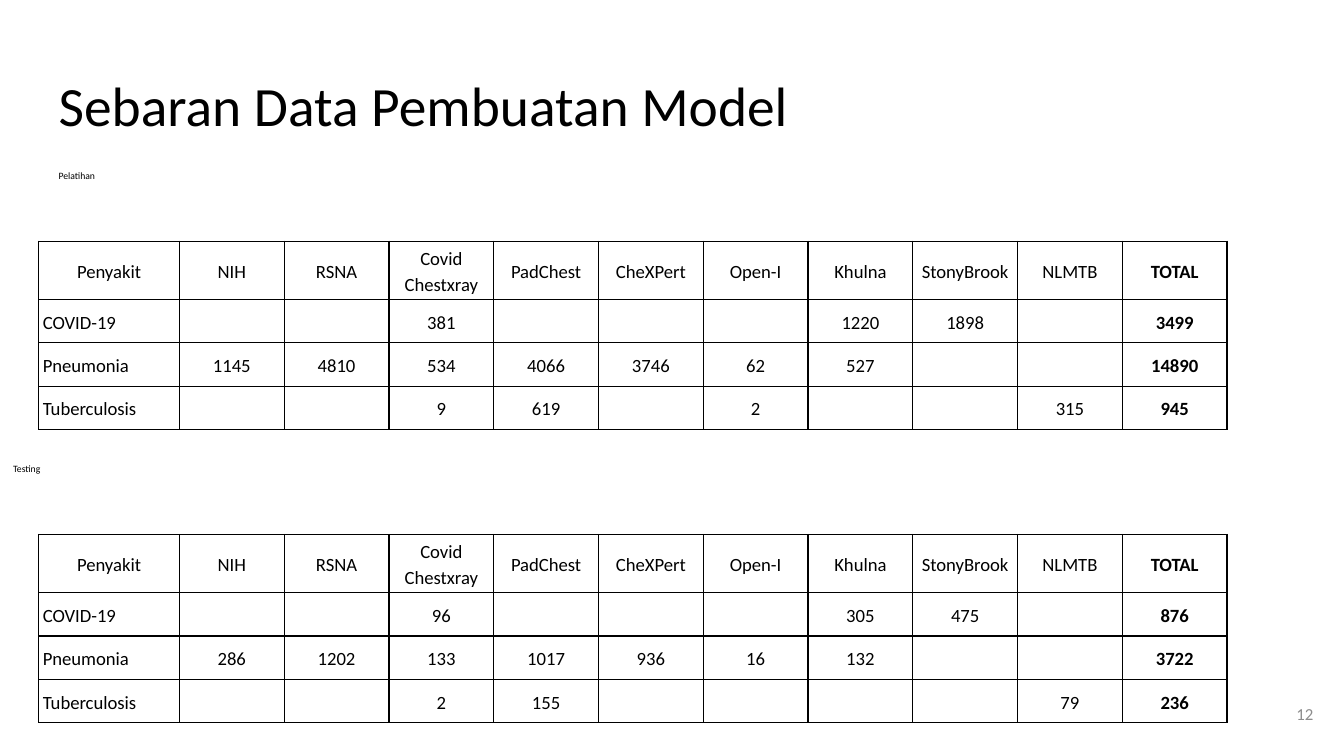
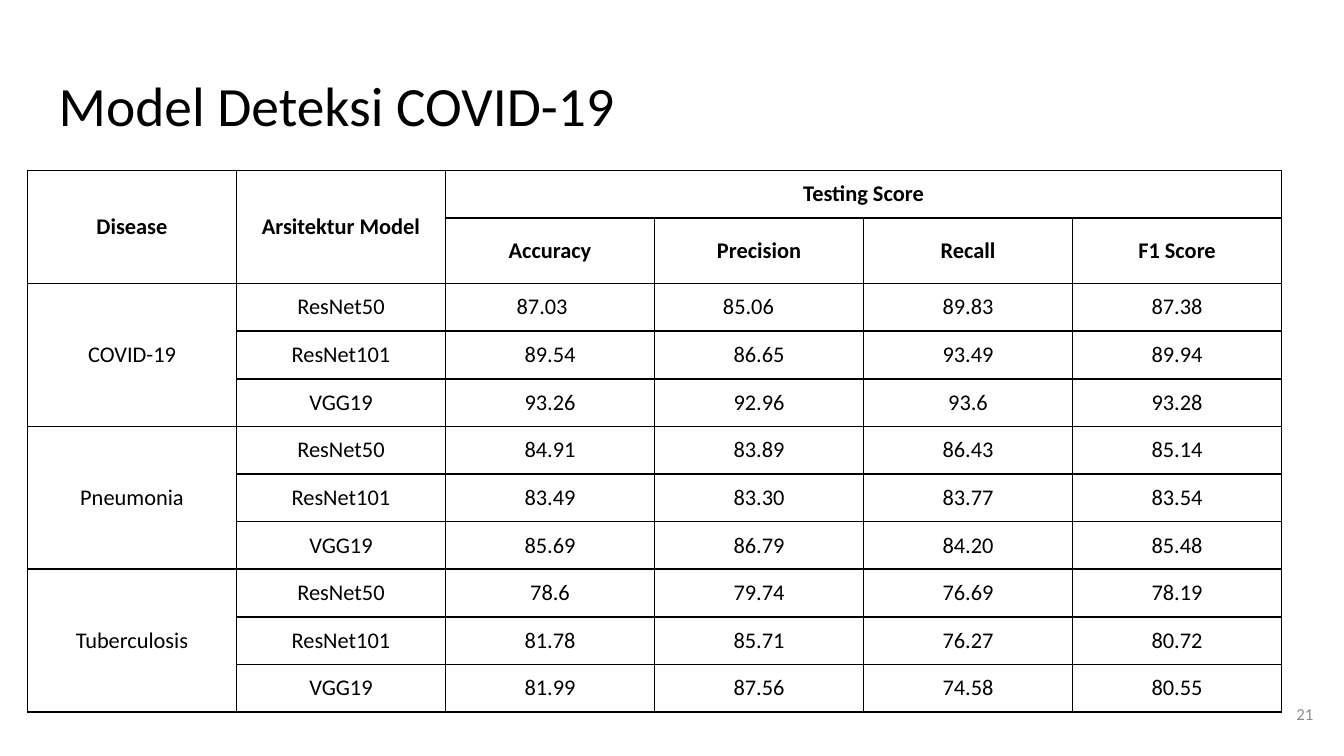
"""Builds two slides of data distribution and detection scores."""
import pptx
import pptx.dml.color
import pptx.enum.text
import pptx.oxml
import pptx.oxml.ns
import pptx.util

Cm = pptx.util.Cm
Pt = pptx.util.Pt
ALIGN = pptx.enum.text.PP_ALIGN
ANCHOR = pptx.enum.text.MSO_ANCHOR

FONT = "Calibri"
COLORS = {"text": "000000", "number": "8C8C8C", "paper": "FFFFFF"}
SIDES = ("left", "right", "top", "bottom")

TITLE = {
    "font": {"size": Pt(29.7)},
    "paragraph": {"line_spacing": 0.9},
}
CAPTION = {
    "font": {"size": Pt(5.2)},
    "paragraph": {"line_spacing": 0.7, "space_after": Pt(12)},
}
NUMBER = {
    "font": {"size": Pt(9)},
    "paragraph": {"alignment": ALIGN.RIGHT},
    "frame": {"vertical_anchor": ANCHOR.MIDDLE},
    "color": "number",
}

DATASETS = ["Penyakit", "NIH", "RSNA", "Covid Chestxray", "PadChest", "CheXPert",
            "Open-I", "Khulna", "StonyBrook", "NLMTB", "TOTAL"]
TRAINING = [
    ["COVID-19", "", "", "381", "", "", "", "1220", "1898", "", "3499"],
    ["Pneumonia", "1145", "4810", "534", "4066", "3746", "62", "527", "", "", "14890"],
    ["Tuberculosis", "", "", "9", "619", "", "2", "", "", "315", "945"],
]
TESTING = [
    ["COVID-19", "", "", "96", "", "", "", "305", "475", "", "876"],
    ["Pneumonia", "286", "1202", "133", "1017", "936", "16", "132", "", "", "3722"],
    ["Tuberculosis", "", "", "2", "155", "", "", "", "", "79", "236"],
]

METRICS = ["Accuracy", "Precision", "Recall", "F1 Score"]
MODELS = ["ResNet50", "ResNet101", "VGG19"]
SCORES = {
    "COVID-19": [["87.03", "85.06", "89.83", "87.38"],
                 ["89.54", "86.65", "93.49", "89.94"],
                 ["93.26", "92.96", "93.6", "93.28"]],
    "Pneumonia": [["84.91", "83.89", "86.43", "85.14"],
                  ["83.49", "83.30", "83.77", "83.54"],
                  ["85.69", "86.79", "84.20", "85.48"]],
    "Tuberculosis": [["78.6", "79.74", "76.69", "78.19"],
                     ["81.78", "85.71", "76.27", "80.72"],
                     ["81.99", "87.56", "74.58", "80.55"]],
}


def rgb(name):
    """Return the named colour."""
    return pptx.dml.color.RGBColor.from_string(COLORS[name])


def apply_values(target, values):
    """Set each attribute in values on target."""
    for name, value in values.items():
        setattr(target, name, value)


def write_text(paragraph, text, style):
    """Write one styled run, or size the empty paragraph."""
    apply_values(paragraph, style.get("paragraph", {}))
    if not text:
        end = pptx.oxml.parse_xml(
            f'<a:endParaRPr {pptx.oxml.ns.nsdecls("a")} '
            f'sz="{int(style["font"]["size"].pt * 100)}"/>')
        paragraph._p.append(end)
        return
    run = paragraph.add_run()
    run.text = text
    apply_values(run.font, {"name": FONT, **style["font"]})
    run.font.color.rgb = rgb(style.get("color", "text"))


def add_text(slide, box, text, style):
    """Add a wrapped text box; box holds left, top, width and height in cm."""
    frame = slide.shapes.add_textbox(*map(Cm, box)).text_frame
    margins = {f"margin_{side}": Cm(0.25) for side in SIDES}
    apply_values(frame, {"word_wrap": True, **margins, **style.get("frame", {})})
    write_text(frame.paragraphs[0], text, style)


def add_page(presentation, title, number):
    """Add a slide with its title and page number."""
    slide = presentation.slides.add_slide(presentation.slide_layouts[6])
    add_text(slide, (0.86, 1.24, 23.67, 1.6), title, TITLE)
    add_text(slide, (23.55, 12.95, 1.52, 1.09), str(number), NUMBER)
    return slide


def add_grid(slide, left, top, widths, heights):
    """Add an unbanded table with the given column and row sizes in cm."""
    table = slide.shapes.add_table(
        len(heights), len(widths), Cm(left), Cm(top),
        Cm(sum(widths)), Cm(sum(heights))).table
    apply_values(table, {"first_row": False, "horz_banding": False})
    for column, width in zip(table.columns, widths):
        column.width = Cm(width)
    for row, height in zip(table.rows, heights):
        row.height = Cm(height)
    return table


def draw_borders(cell, points):
    """Outline all four sides of a cell."""
    properties = cell._tc.get_or_add_tcPr()
    for index, side in enumerate("LRTB"):
        properties.insert(index, pptx.oxml.parse_xml(
            f'<a:ln{side} {pptx.oxml.ns.nsdecls("a")} w="{Pt(points)}">'
            f'<a:solidFill><a:srgbClr val="{COLORS["text"]}"/></a:solidFill>'
            f'</a:ln{side}>'))


def fill_cell(cell, text, style, margins, border, paper=False):
    """Give a cell its text, margins, border and fill."""
    apply_values(cell, {"vertical_anchor": ANCHOR.MIDDLE})
    apply_values(cell, {f"margin_{side}": Cm(margin) for side, margin in margins.items()})
    write_text(cell.text_frame.paragraphs[0], text, style)
    if paper:
        cell.fill.solid()
        cell.fill.fore_color.rgb = rgb("paper")
    else:
        cell.fill.background()
    draw_borders(cell, border)


def add_distribution(slide, top, rows):
    """Add a table of image counts per disease and dataset."""
    table = add_grid(slide, 0.73, top, [2.66] + [1.98] * 10, [1.1] + [0.82] * 3)
    margins = {"left": 0.08, "right": 0.08, "top": 0.05, "bottom": 0.05}
    for row_index, row in enumerate([DATASETS] + rows):
        for column_index, text in enumerate(row):
            is_label = row_index > 0 and column_index == 0
            style = {
                "font": {"size": Pt(10), "bold": text != "" and column_index == 10},
                "paragraph": {"alignment": ALIGN.LEFT if is_label else ALIGN.CENTER,
                              "line_spacing": 1.15},
            }
            fill_cell(table.cell(row_index, column_index), text, style, margins, 0.75)


def add_scores(slide):
    """Add the table of testing scores per disease and model."""
    rows = [["Disease", "Arsitektur Model", "Testing Score", "", "", ""],
            ["", ""] + METRICS]
    for disease, results in SCORES.items():
        for index, (model, values) in enumerate(zip(MODELS, results)):
            rows.append([disease if index == 0 else "", model] + values)
    table = add_grid(slide, 0.52, 3.22, [3.95] * 6, [0.9, 1.24] + [0.9] * 9)
    shifted = {(2, 2): 0.38, (2, 3): 0.48}
    for row_index, row in enumerate(rows):
        for column_index, text in enumerate(row):
            is_score = row_index > 1 and column_index > 1
            margins = dict.fromkeys(SIDES, 0.08 if is_score else 0.18)
            margins["right"] = shifted.get((row_index, column_index), margins["right"])
            style = {"font": {"size": Pt(12), "bold": row_index < 2},
                     "paragraph": {"alignment": ALIGN.CENTER}}
            fill_cell(table.cell(row_index, column_index), text, style, margins, 1, is_score)
    spans = [((0, 0), (1, 0)), ((0, 1), (1, 1)), ((0, 2), (0, 5))]
    spans += [((first, 0), (first + 2, 0)) for first in (2, 5, 8)]
    for start, end in spans:
        table.cell(*start).merge(table.cell(*end))


def main():
    """Build and save the presentation."""
    presentation = pptx.Presentation()
    apply_values(presentation, {"slide_width": Cm(25.4), "slide_height": Cm(14.29)})

    slide = add_page(presentation, "Sebaran Data Pembuatan Model", 12)
    add_text(slide, (0.86, 3.2, 23.67, 1.07), "Pelatihan", CAPTION)
    add_text(slide, (0, 8.74, 23.67, 1.07), "Testing", CAPTION)
    add_distribution(slide, 4.56, TRAINING)
    add_distribution(slide, 10.1, TESTING)

    slide = add_page(presentation, "Model Deteksi COVID-19", 21)
    add_scores(slide)

    presentation.save("out.pptx")


if __name__ == "__main__":
    main()
